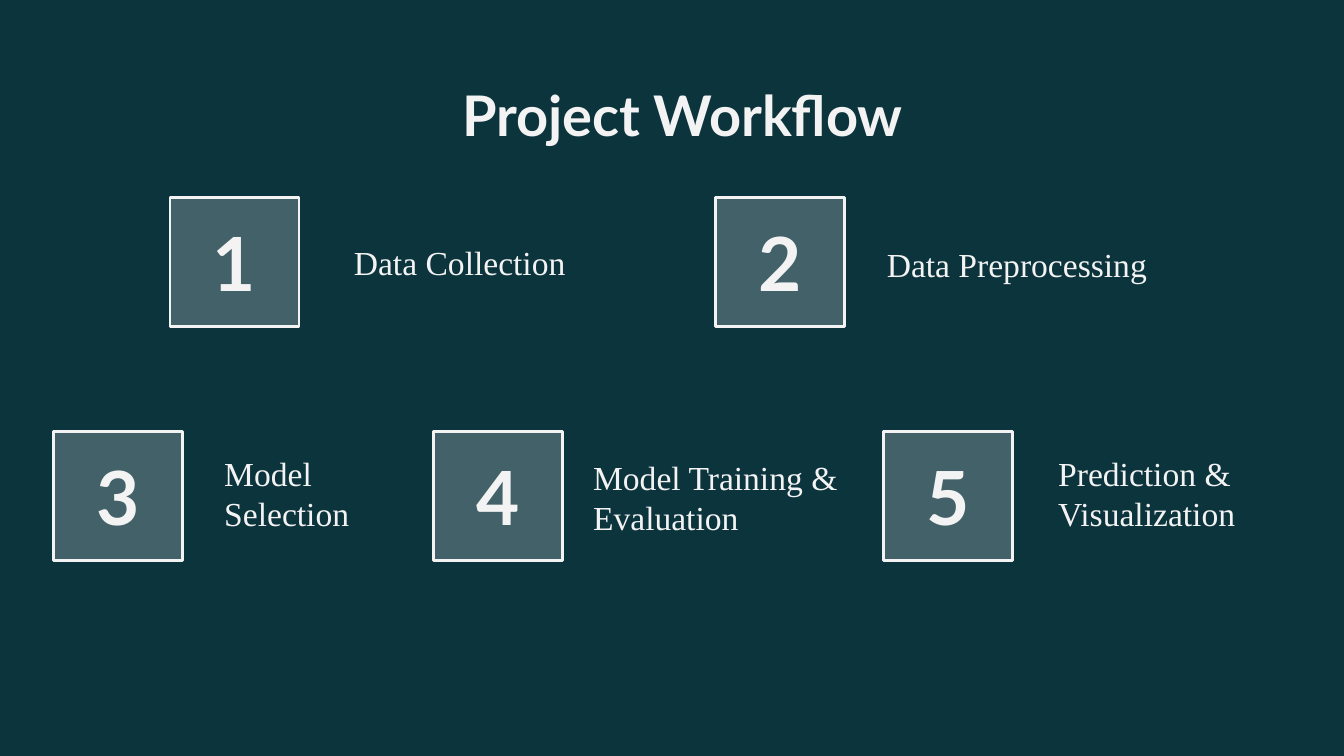
from dataclasses import dataclass

from lxml.etree import SubElement
from pptx import Presentation
from pptx.dml.color import RGBColor
from pptx.enum.shapes import MSO_SHAPE
from pptx.enum.text import MSO_ANCHOR, PP_ALIGN
from pptx.oxml.ns import qn
from pptx.util import Pt

PX = 4572


@dataclass(frozen=True)
class Theme:
    """Colours, fonts and type sizes of the deck."""
    back: RGBColor = RGBColor(0x0C, 0x34, 0x3D)
    light: RGBColor = RGBColor(0xF3, 0xF3, 0xF3)
    tile_alpha: int = 24
    outline: float = 1.5
    head_font: str = "Lato"
    body_font: str = "Times New Roman"
    title_size: int = 30
    number_size: int = 40
    label_size: int = 18


THEME = Theme()
TILE = 192
INSET = 20


def emu(box):
    """Turn a box in px into EMU."""
    return [n * PX for n in box]


def write(sp, text, font, size, bold, align, anchor):
    """Set the one paragraph of text of a shape."""
    tf = sp.text_frame
    tf.word_wrap = True
    tf.vertical_anchor = anchor
    tf.margin_left = tf.margin_right = INSET * PX
    tf.margin_top = tf.margin_bottom = INSET * PX
    p = tf.paragraphs[0]
    p.alignment = align
    r = p.add_run()
    r.text = text
    r.font.name = font
    r.font.size = Pt(size)
    r.font.bold = bold
    r.font.color.rgb = THEME.light


def add_title(s, box, text):
    """Place the centred heading in its box."""
    sp = s.shapes.add_textbox(*emu(box))
    write(sp, text, THEME.head_font, THEME.title_size, True,
          PP_ALIGN.CENTER, MSO_ANCHOR.TOP)


def add_tile(s, x, y, number):
    """Place a translucent numbered square."""
    sp = s.shapes.add_shape(MSO_SHAPE.ROUNDED_RECTANGLE, *emu((x, y, TILE, TILE)))
    sp.adjustments[0] = 0
    sp.shadow.inherit = False
    sp.fill.solid()
    sp.fill.fore_color.rgb = THEME.light
    clr = sp.fill._xPr.find(qn("a:solidFill"))[0]
    SubElement(clr, qn("a:alpha"), val=str(THEME.tile_alpha * 1000))
    sp.line.color.rgb = THEME.light
    sp.line.width = Pt(THEME.outline)
    write(sp, str(number), THEME.head_font, THEME.number_size, True,
          PP_ALIGN.CENTER, MSO_ANCHOR.MIDDLE)


def add_step(s, x, y, number, text, label_box, align):
    """Place a tile with its label, whose box is relative to the tile."""
    add_tile(s, x, y, number)
    dx, dy, w, h = label_box
    sp = s.shapes.add_textbox(*emu((x + dx, y + dy, w, h)))
    write(sp, text, THEME.body_font, THEME.label_size, False,
          align, MSO_ANCHOR.BOTTOM)


def add_workflow(prs):
    """Build the workflow slide."""
    s = prs.slides.add_slide(prs.slide_layouts[6])
    s.background.fill.solid()
    s.background.fill.fore_color.rgb = THEME.back
    add_title(s, (173, 100, 1686, 126), "Project Workflow")

    left, justify = PP_ALIGN.LEFT, PP_ALIGN.JUSTIFY
    top, bottom = 294, 642
    steps = [
        (253, top, "Data Collection", (254, 46, 472, 100), justify),
        (1065, top, "Data Preprocessing", (235, 49, 472, 100), left),
        (80, bottom, "Model Selection", (234, 26, 262, 146), justify),
        (645, bottom, "Model Training & Evaluation", (218, 14, 405, 164), left),
        (1315, bottom, "Prediction & Visualization", (240, 8, 378, 164), left),
    ]
    for number, (x, y, text, label_box, align) in enumerate(steps, 1):
        add_step(s, x, y, number, text, label_box, align)


def main():
    """Build and save the deck."""
    prs = Presentation()
    prs.slide_width, prs.slide_height = emu((2000, 1125))
    add_workflow(prs)
    prs.save("out.pptx")


if __name__ == "__main__":
    main()
